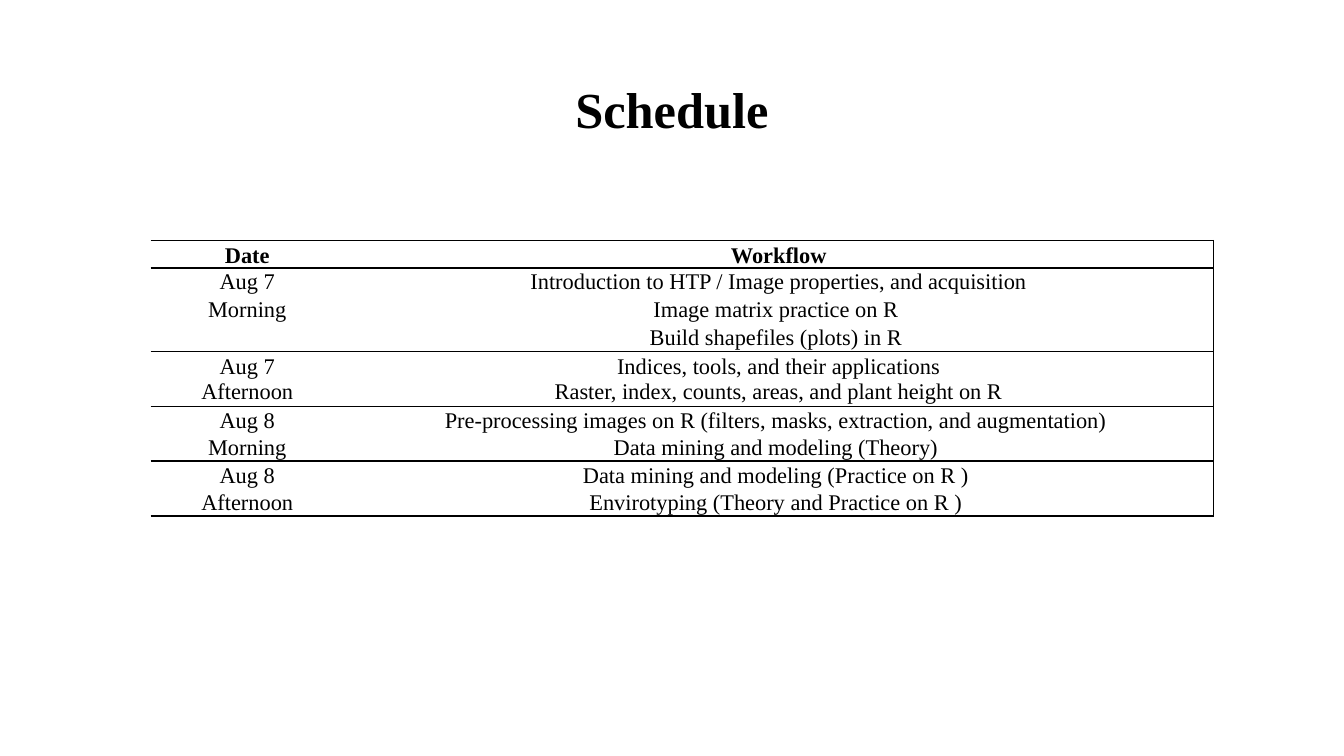
from dataclasses import dataclass

from lxml.etree import SubElement
from pptx import Presentation
from pptx.dml.color import RGBColor
from pptx.enum.text import MSO_ANCHOR as Anchor, PP_ALIGN as Align
from pptx.oxml.ns import qn
from pptx.util import Inches, Pt

COLORS = {"ink": "000000"}
FONT = "Times New Roman"
TABLE_HEIGHT = 2.04
COL_WIDTHS = (1.44, 6.47)
MARGINS = {"margin_left": 0.01, "margin_top": 0.01, "margin_right": 0.01, "margin_bottom": 0}
SIDES = {"left": "a:lnL", "right": "a:lnR", "top": "a:lnT", "bottom": "a:lnB"}


@dataclass(frozen=True)
class Row:
    date: str
    workflow: str
    top: bool = False  # rule above
    bottom: bool = False  # rule below
    header: bool = False

    @property
    def lines(self) -> int:
        return self.workflow.count("\n") + 1


ROWS = [
    Row("Date", "Workflow", top=True, bottom=True, header=True),
    Row("Aug 7", "Introduction to HTP / Image properties, and acquisition", top=True),
    Row("Morning", "Image matrix practice on R "),
    Row("", "Build shapefiles (plots) in R ", bottom=True),
    Row("Aug 7\nAfternoon",
        "Indices, tools, and their applications\n"
        "Raster, index, counts, areas, and plant height on R", top=True, bottom=True),
    Row("Aug 8",
        "Pre-processing images on R (filters, masks, extraction, and augmentation) ", top=True),
    Row("Morning", "Data mining and modeling (Theory) ", bottom=True),
    Row("Aug 8", "Data mining and modeling (Practice on R ) ", top=True),
    Row("Afternoon", "Envirotyping (Theory and Practice on R ) ", bottom=True),
]


def write_text(tf, text: str, size: float, bold: bool) -> None:
    tf.text = text
    style = {"name": FONT, "size": Pt(size), "bold": bold}
    for p in tf.paragraphs:
        p.alignment = Align.CENTER
        for r in p.runs:
            for key, value in style.items():
                setattr(r.font, key, value)
            r.font.color.rgb = RGBColor.from_string(COLORS["ink"])
        if not p.runs:  # keeps an empty cell as low as its neighbours
            SubElement(p._p, qn("a:endParaRPr"), sz=str(int(size * 100)))


def set_borders(cell, ruled: set[str]) -> None:
    props = cell._tc.get_or_add_tcPr()
    for side, tag in SIDES.items():
        line = SubElement(props, qn(tag), w=str(Pt(1)))
        if side in ruled:
            fill = SubElement(line, qn("a:solidFill"))
            SubElement(fill, qn("a:srgbClr"), val=COLORS["ink"])
        else:
            SubElement(line, qn("a:noFill"))


def fill_cell(cell, text: str, row: Row, last: bool) -> None:
    write_text(cell.text_frame, text, 12, row.header)
    cell.vertical_anchor = Anchor.BOTTOM if row.header else Anchor.MIDDLE
    for key, value in MARGINS.items():
        setattr(cell, key, Inches(value))
    sides = {"top": row.top, "bottom": row.bottom, "right": last}
    set_borders(cell, {side for side, ruled in sides.items() if ruled})
    cell.fill.background()


def add_schedule(s) -> None:
    table = s.shapes.add_table(len(ROWS), len(COL_WIDTHS), Inches(1.12), Inches(1.79),
                               Inches(sum(COL_WIDTHS)), Inches(TABLE_HEIGHT)).table
    table.first_row = table.horz_banding = False
    for column, width in zip(table.columns, COL_WIDTHS):
        column.width = Inches(width)
    line_height = TABLE_HEIGHT / sum(row.lines for row in ROWS)
    for i, row in enumerate(ROWS):
        table.rows[i].height = Inches(line_height * row.lines)
        fill_cell(table.cell(i, 0), row.date, row, last=False)
        fill_cell(table.cell(i, 1), row.workflow, row, last=True)


def main() -> None:
    prs = Presentation()
    prs.slide_width = Inches(10)
    prs.slide_height = prs.slide_width * 9 // 16
    s = prs.slides.add_slide(prs.slide_layouts[5])

    # Title
    title = s.shapes.title
    box = {"left": 1.62, "top": 0.45, "width": 6.76, "height": 0.71}
    for key, value in box.items():
        setattr(title, key, Inches(value))
    title.text_frame.vertical_anchor = Anchor.MIDDLE
    write_text(title.text_frame, "Schedule", 27, True)

    # Schedule table
    add_schedule(s)
    prs.save("out.pptx")


if __name__ == "__main__":
    main()
